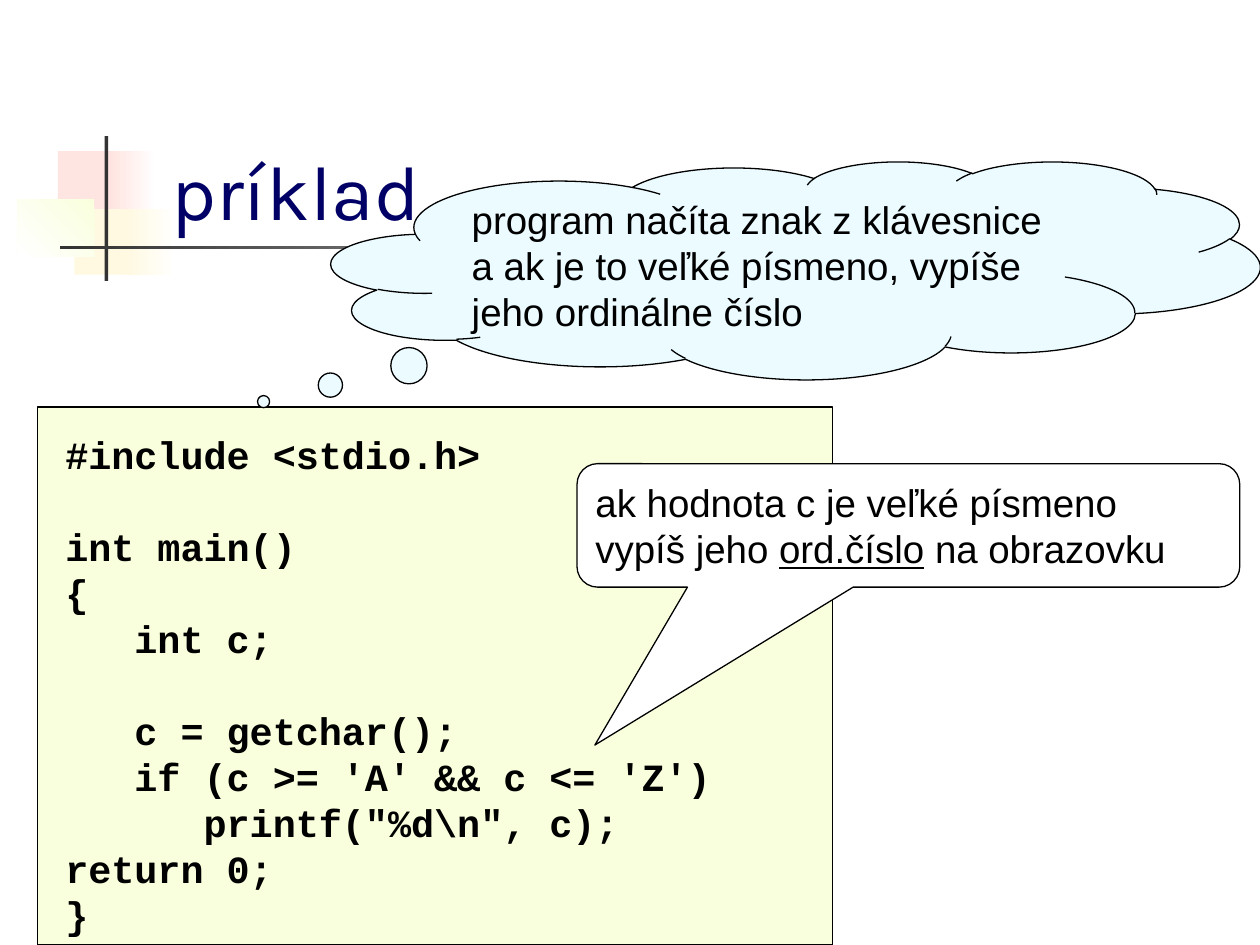
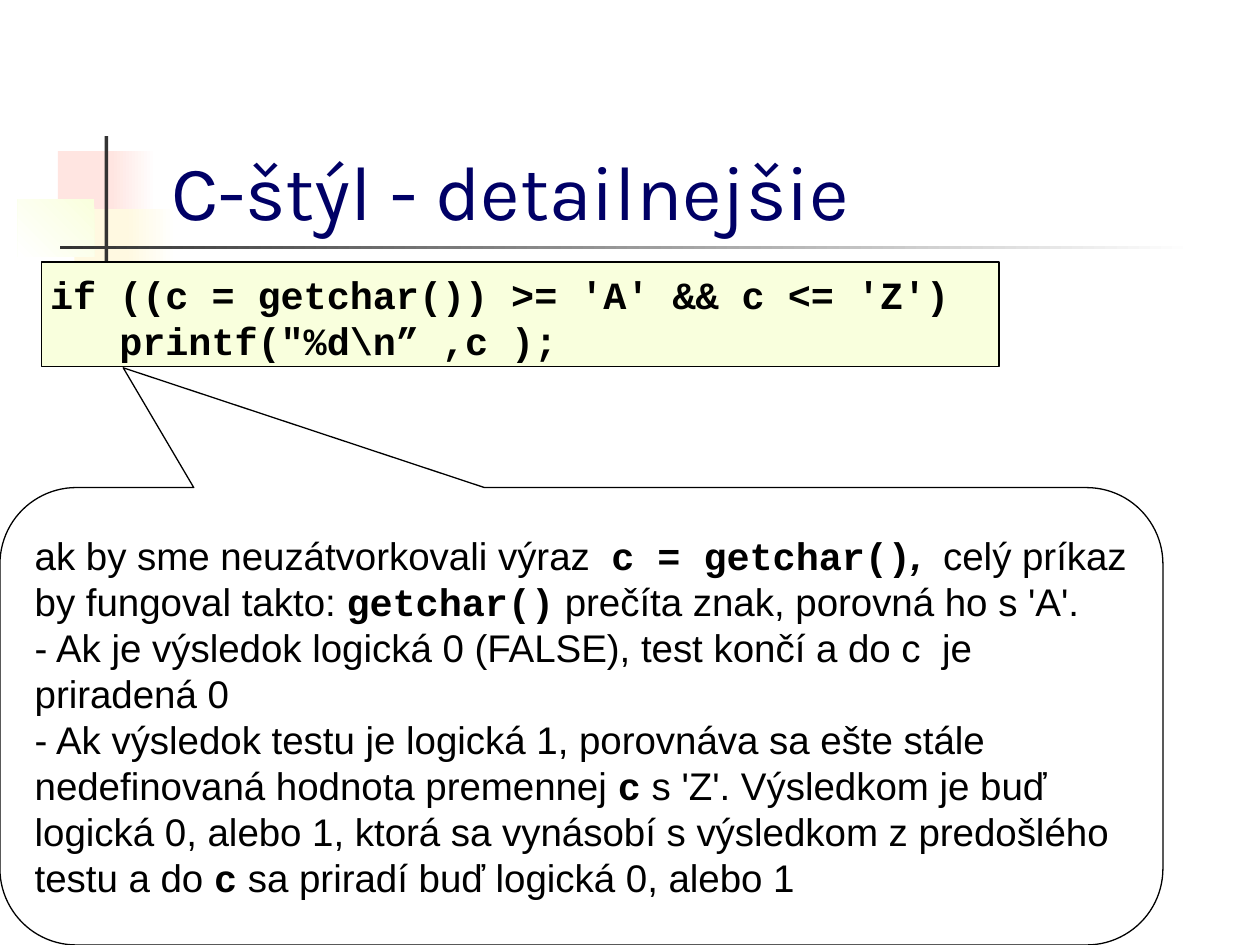
from pptx import Presentation
from pptx.dml.color import RGBColor
from pptx.enum.shapes import MSO_SHAPE
from pptx.enum.text import MSO_ANCHOR, PP_ALIGN
from pptx.util import Inches, Pt

RECT = MSO_SHAPE.RECTANGLE
CLOUD = MSO_SHAPE.CLOUD_CALLOUT
BUBBLE = MSO_SHAPE.ROUNDED_RECTANGULAR_CALLOUT
TOP, MIDDLE, BOTTOM = MSO_ANCHOR.TOP, MSO_ANCHOR.MIDDLE, MSO_ANCHOR.BOTTOM
LEFT = PP_ALIGN.LEFT

WHITE = RGBColor(0xFF, 0xFF, 0xFF)
BLACK = RGBColor(0x00, 0x00, 0x00)
NAVY = RGBColor(0x00, 0x00, 0x66)
DARK = RGBColor(0x33, 0x33, 0x33)
PINK = RGBColor(0xFF, 0xE5, 0xE1)
CREAM = RGBColor(0xFF, 0xF9, 0xE1)
LIME = RGBColor(0xF9, 0xFF, 0xDD)
SKY = RGBColor(0xEB, 0xFB, 0xFF)

BODY, CODE, TITLE = "Arial", "Courier New", "Karla"
LINE = 26.3  # line pitch in points

# Run styles
MONO, ITALIC, UNDER = "mono", "italic", "underline"


class Deck:
    def __init__(self):
        self.prs = Presentation()
        self.prs.slide_width, self.prs.slide_height = Inches(10), Inches(7.5)
        self.s = None

    def slide(self, title):
        self.s = self.prs.slides.add_slide(self.prs.slide_layouts[6])
        # Corner ornament: coloured blocks and the crossing rules
        self.shape(RECT, 0.46, 1.2, 0.48, 0.52, PINK)
        self.gradient(0.88, 1.2, 0.36, 0.52, WHITE, PINK)
        self.shape(RECT, 0.59, 1.66, 0.46, 0.52, CREAM)
        self.gradient(1, 1.66, 0.4, 0.52, WHITE, CREAM)
        self.gradient(0.14, 1.58, 0.61, 0.46, LIME, WHITE, 225)
        self.shape(RECT, 0.83, 1.08, 0.03, 1.15, DARK)
        self.gradient(0.48, 1.95, 9, 0.03, WHITE, DARK)
        # Title
        box = self.box(1.26, 0.67, 8.52, 1.25)
        self.put_text(box, [title], TITLE, 44, NAVY, anchor=BOTTOM)

    def box(self, x, y, w, h):
        return self.s.shapes.add_textbox(Inches(x), Inches(y), Inches(w), Inches(h))

    def shape(self, kind, x, y, w, h, fill, line=None, adjust=()):
        sp = self.s.shapes.add_shape(kind, Inches(x), Inches(y), Inches(w), Inches(h))
        sp.shadow.inherit = False
        sp.fill.solid()
        sp.fill.fore_color.rgb = fill
        if line is None:
            sp.line.fill.background()
        else:
            sp.line.color.rgb = line
            sp.line.width = Pt(0.75)
        for i, value in enumerate(adjust):
            sp.adjustments[i] = value
        return sp

    def gradient(self, x, y, w, h, start, end, angle=180):
        sp = self.shape(RECT, x, y, w, h, start)
        sp.fill.gradient()
        sp.fill.gradient_angle = angle
        for stop, color, position in zip(sp.fill.gradient_stops, (start, end), (0, 1)):
            stop.color.rgb = color
            stop.position = position

    def put_text(self, sp, paragraphs, font=BODY, size=22, color=BLACK, bold=False,
                 anchor=MIDDLE, line=None, gaps=()):
        """Each paragraph is a string or a list of strings and (text, style) pairs;
        gaps holds the indexes of paragraphs with one free line above."""
        tf = sp.text_frame
        tf.word_wrap = True
        tf.vertical_anchor = anchor
        for i, parts in enumerate(paragraphs):
            p = tf.add_paragraph() if i else tf.paragraphs[0]
            p.alignment = LEFT
            p.font.name, p.font.size, p.font.bold = font, Pt(size), bold
            p.font.color.rgb = color
            if line:
                p.line_spacing = Pt(line)
            if i in gaps:
                p.space_before = Pt(line)
            for part in [parts] if isinstance(parts, str) else parts:
                text, style = (part, None) if isinstance(part, str) else part
                r = p.add_run()
                r.text = text
                if style == MONO:
                    r.font.name = CODE
                    r.font.bold = True
                elif style == ITALIC:
                    r.font.bold = r.font.italic = True
                elif style == UNDER:
                    r.font.underline = True

    def code(self, x, y, w, h, lines, gaps=()):
        self.put_text(self.box(x, y, w, h), lines, CODE, bold=True, anchor=TOP,
                      line=LINE, gaps=gaps)

    def callout(self, kind, x, y, w, h, fill, adjust, paragraphs):
        sp = self.shape(kind, x, y, w, h, fill, BLACK, adjust)
        self.put_text(sp, paragraphs, line=LINE)


def main():
    deck = Deck()

    # Slide 1: example program
    deck.slide("príklad")
    deck.shape(RECT, 0.3, 3.23, 6.31, 4.27, LIME, BLACK)
    deck.code(0.42, 3.37, 6.1, 4.12, [
        "#include <stdio.h>",
        "int main()",
        "{",
        "   int c;",
        "   c = getchar();",
        "   if (c >= 'A' && c <= 'Z')",
        "      printf(\"%d\\n\", c);",
        "return 0;",
        "}",
    ], gaps=(1, 4))
    deck.callout(CLOUD, 2.63, 1.28, 7.37, 1.73, SKY, (-0.573, 0.603), [
        "program načíta znak z klávesnice a ak je to veľké písmeno, "
        "vypíše jeho ordinálne číslo"])
    deck.callout(BUBBLE, 4.58, 3.68, 5.26, 0.98, WHITE, (-0.473, 1.779, 0.167), [
        "ak hodnota c je veľké písmeno",
        ["vypíš jeho ", ("ord.číslo", UNDER), " na obrazovku"]])

    # Slide 2: the condition in detail
    deck.slide("C-štýl - detailnejšie")
    deck.shape(RECT, 0.33, 2.08, 7.6, 0.83, LIME, BLACK)
    deck.code(0.3, 2.1, 7.6, 0.82, [
        "if ((c = getchar()) >= 'A' && c <= 'Z')",
        "   printf(\"%d\\n” ,c );"])
    deck.callout(BUBBLE, 0, 3.87, 9.23, 3.63, WHITE, (-0.394, -0.762, 0.167), [
        ["ak by sme neuzátvorkovali výraz  ", ("c = getchar()", MONO), (", ", ITALIC),
         " celý príkaz by fungoval takto: ", ("getchar()", MONO),
         " prečíta znak, porovná ho s 'A'."],
        "- Ak je výsledok logická 0 (FALSE), test končí a do c  je priradená 0",
        ["- Ak výsledok testu je logická 1, porovnáva sa ešte stále nedefinovaná "
         "hodnota premennej ", ("c", MONO),
         " s 'Z'. Výsledkom je buď logická 0, alebo 1, ktorá sa vynásobí s výsledkom "
         "z predošlého testu a do ", ("c", MONO),
         " sa priradí buď logická 0, alebo 1"]])

    deck.prs.save("out.pptx")


if __name__ == "__main__":
    main()
